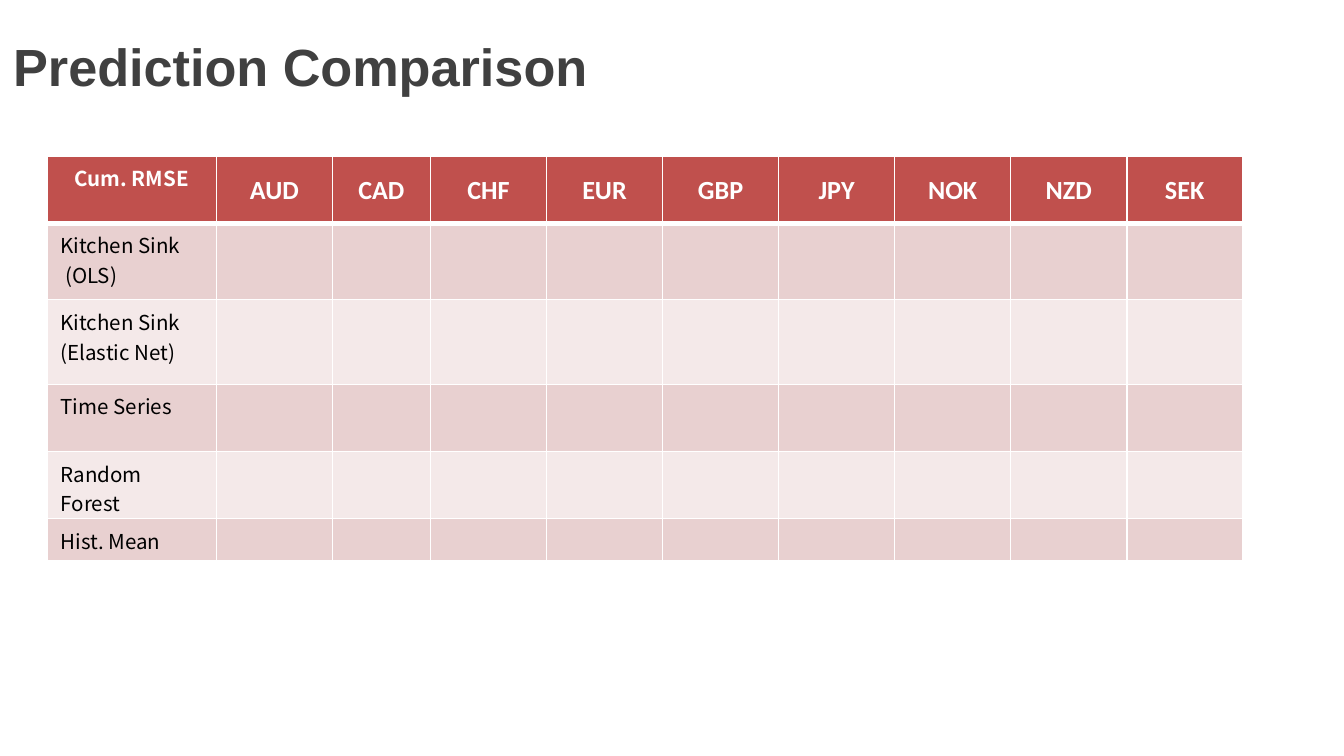
"""Build the prediction comparison slide."""
from dataclasses import dataclass

from lxml import etree
from pptx import Presentation
from pptx.dml.color import RGBColor
from pptx.enum.text import MSO_ANCHOR, PP_ALIGN
from pptx.oxml.ns import qn
from pptx.util import Inches, Pt

MIDDLE, TOP = MSO_ANCHOR.MIDDLE, MSO_ANCHOR.TOP
CENTER, LEFT = PP_ALIGN.CENTER, PP_ALIGN.LEFT
COLORS = {"title": "404040", "header": "C0504D", "odd": "E8D0D0",
          "even": "F4E9E9", "white": "FFFFFF", "black": "000000"}
CURRENCIES = ["AUD", "CAD", "CHF", "EUR", "GBP", "JPY", "NOK", "NZD", "SEK"]
TABLE_WIDTH, LABEL_WIDTH, CAD_WIDTH = 8.9, 1.26, 0.73
CURRENCY_WIDTH = (TABLE_WIDTH - LABEL_WIDTH - CAD_WIDTH) / (len(CURRENCIES) - 1)
HEADER_HEIGHT = 0.5
THIN, THICK = 1, 3


@dataclass(frozen=True)
class Style:
    """Font and alignment of a piece of text."""
    font: str
    size: int
    color: str
    bold: bool = False
    align: PP_ALIGN = LEFT


@dataclass(frozen=True)
class Model:
    """A prediction model and its row height in inches."""
    label: str
    height: float


TITLE = Style("Arial", 28, "title", bold=True)
CORNER = Style("Noto Sans CJK KR", 11, "white", bold=True, align=CENTER)
CURRENCY = Style("Calibri", 14, "white", bold=True, align=CENTER)
LABEL = Style("Noto Sans CJK KR", 11, "black")
MODELS = [
    Model("Kitchen Sink\n (OLS)", 0.57),
    Model("Kitchen Sink \n(Elastic Net)", 0.63),
    Model("Time Series", 0.5),
    Model("Random Forest", 0.5),
    Model("Hist. Mean", 0.16),
]


def write(frame, text: str, style: Style) -> None:
    """Fill a text frame with styled paragraphs."""
    frame.text = text
    for paragraph in frame.paragraphs:
        paragraph.alignment = style.align
        font = paragraph.font
        font.name, font.size, font.bold = style.font, Pt(style.size), style.bold
        font.color.rgb = RGBColor.from_string(COLORS[style.color])
        if not text:
            end = etree.SubElement(paragraph._p, qn("a:endParaRPr"))
            end.set("sz", str(style.size * 100))


def add_borders(cell, top: int, bottom: int) -> None:
    """Draw white borders, with the top and bottom widths in points."""
    properties = cell._tc.get_or_add_tcPr()
    widths = {"a:lnL": THIN, "a:lnR": THIN, "a:lnT": top, "a:lnB": bottom}
    for position, (tag, width) in enumerate(widths.items()):
        line = etree.Element(qn(tag), w=str(Pt(width)))
        fill = etree.SubElement(line, qn("a:solidFill"))
        etree.SubElement(fill, qn("a:srgbClr"), val=COLORS["white"])
        properties.insert(position, line)


def fill_cell(cell, text: str, style: Style, fill: str, top: int, bottom: int) -> None:
    """Set the text, fill and borders of a cell."""
    write(cell.text_frame, text, style)
    cell.fill.solid()
    cell.fill.fore_color.rgb = RGBColor.from_string(COLORS[fill])
    add_borders(cell, top, bottom)


def add_title(slide, text: str, width: int) -> None:
    """Add the slide title across the top."""
    frame = slide.shapes.add_textbox(0, 0, width, Inches(0.97)).text_frame
    frame.word_wrap = True
    frame.vertical_anchor = MIDDLE
    write(frame, text, TITLE)


def add_comparison(slide) -> None:
    """Add the table of models by currency."""
    widths = [LABEL_WIDTH] + [
        CAD_WIDTH if code == "CAD" else CURRENCY_WIDTH for code in CURRENCIES]
    heights = [HEADER_HEIGHT] + [model.height for model in MODELS]
    table = slide.shapes.add_table(
        len(heights), len(widths), Inches(0.35), Inches(1.16),
        Inches(TABLE_WIDTH), Inches(sum(heights))).table
    for column, width in zip(table.columns, widths):
        column.width = Inches(width)
    for row, height in zip(table.rows, heights):
        row.height = Inches(height)

    for index, heading in enumerate(["Cum. RMSE"] + CURRENCIES):
        cell = table.cell(0, index)
        fill_cell(cell, heading, CURRENCY if index else CORNER, "header", THIN, THICK)
        cell.vertical_anchor = MIDDLE if index else TOP
        if index:
            cell.margin_left = cell.margin_right = cell.margin_top = Inches(0.01)
            cell.margin_bottom = 0

    for number, model in enumerate(MODELS, start=1):
        band = "odd" if number % 2 else "even"
        top = THICK if number == 1 else THIN
        for index in range(len(widths)):
            cell = table.cell(number, index)
            fill_cell(cell, "" if index else model.label, LABEL, band, top, THIN)
            cell.margin_bottom = Inches(0.08)


def main() -> None:
    """Build and save the presentation."""
    deck = Presentation()
    deck.slide_width = Inches(10)
    deck.slide_height = deck.slide_width * 9 // 16
    slide = deck.slides.add_slide(deck.slide_layouts[6])
    add_title(slide, "Prediction Comparison", deck.slide_width)
    add_comparison(slide)
    deck.save("out.pptx")


main()
